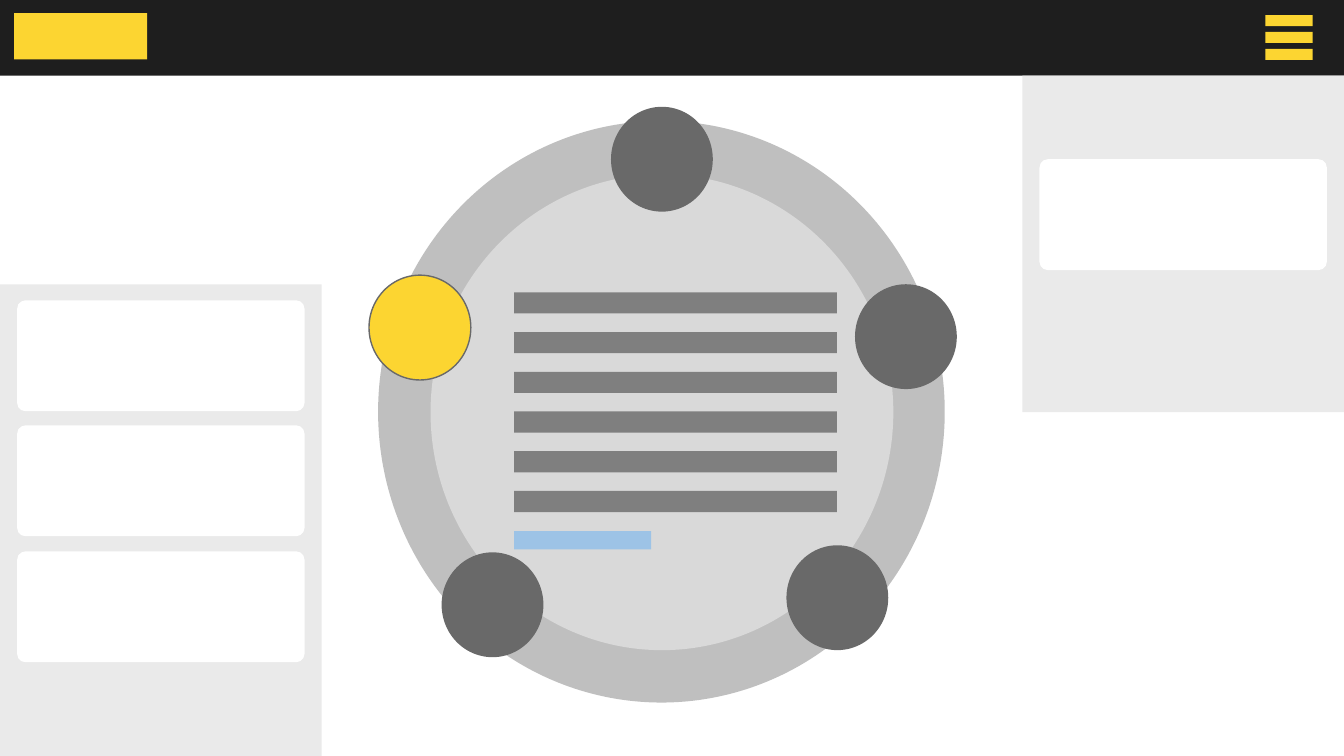
from pptx import Presentation
from pptx.dml.color import RGBColor
from pptx.enum.shapes import MSO_SHAPE
from pptx.util import Inches, Pt

RECTANGLE = MSO_SHAPE.RECTANGLE
ROUNDED = MSO_SHAPE.ROUNDED_RECTANGLE
OVAL = MSO_SHAPE.OVAL

BLACK = RGBColor(0x1E, 0x1E, 0x1E)
YELLOW = RGBColor(0xFC, 0xD5, 0x31)
RING_GRAY = RGBColor(0xBF, 0xBF, 0xBF)
DISC_GRAY = RGBColor(0xD9, 0xD9, 0xD9)
NODE_GRAY = RGBColor(0x69, 0x69, 0x69)
TEXT_GRAY = RGBColor(0x7F, 0x7F, 0x7F)
PANEL_GRAY = RGBColor(0xEA, 0xEA, 0xEA)
LINK_BLUE = RGBColor(0x9D, 0xC3, 0xE6)
WHITE = RGBColor(0xFF, 0xFF, 0xFF)

presentation = Presentation()
presentation.slide_width = Inches(13.33)
presentation.slide_height = Inches(7.5)
slide = presentation.slides.add_slide(presentation.slide_layouts[6])


def add_block(shapes, kind, left, top, width, height, color):
    shape = shapes.add_shape(kind, Inches(left), Inches(top), Inches(width), Inches(height))
    shape.shadow.inherit = False
    shape.fill.solid()
    shape.fill.fore_color.rgb = color
    shape.line.fill.background()
    return shape


add_block(slide.shapes, RECTANGLE, 0, 0, 13.33, 0.75, BLACK)

wheel = slide.shapes.add_group_shape()
add_block(wheel.shapes, OVAL, 3.75, 1.2, 5.62, 5.77, RING_GRAY)
add_block(wheel.shapes, OVAL, 4.27, 1.73, 4.59, 4.72, DISC_GRAY)
for left, top in [(6.06, 1.06), (8.48, 2.82), (7.8, 5.41), (4.38, 5.48)]:
    add_block(wheel.shapes, OVAL, left, top, 1.01, 1.04, NODE_GRAY)
active_node = add_block(wheel.shapes, OVAL, 3.66, 2.73, 1.01, 1.04, YELLOW)
active_node.line.color.rgb = NODE_GRAY
active_node.line.width = Pt(1)

for row in range(6):
    add_block(wheel.shapes, RECTANGLE, 5.1, 2.9 + row * 0.394, 3.2, 0.21, TEXT_GRAY)
add_block(wheel.shapes, RECTANGLE, 5.1, 5.27, 1.36, 0.18, LINK_BLUE)

for row in range(3):
    add_block(slide.shapes, RECTANGLE, 12.55, 0.15 + row * 0.167, 0.47, 0.11, YELLOW)
add_block(slide.shapes, RECTANGLE, 0.14, 0.13, 1.32, 0.46, YELLOW)

add_block(slide.shapes, RECTANGLE, 0, 2.82, 3.19, 4.68, PANEL_GRAY)
add_block(slide.shapes, RECTANGLE, 10.14, 0.75, 3.19, 3.34, PANEL_GRAY)
for left, top in [(0.17, 2.98), (10.31, 1.58), (0.17, 4.22), (0.17, 5.47)]:
    card = add_block(slide.shapes, ROUNDED, left, top, 2.85, 1.1, WHITE)
    card.adjustments[0] = 0.075

presentation.save("out.pptx")
